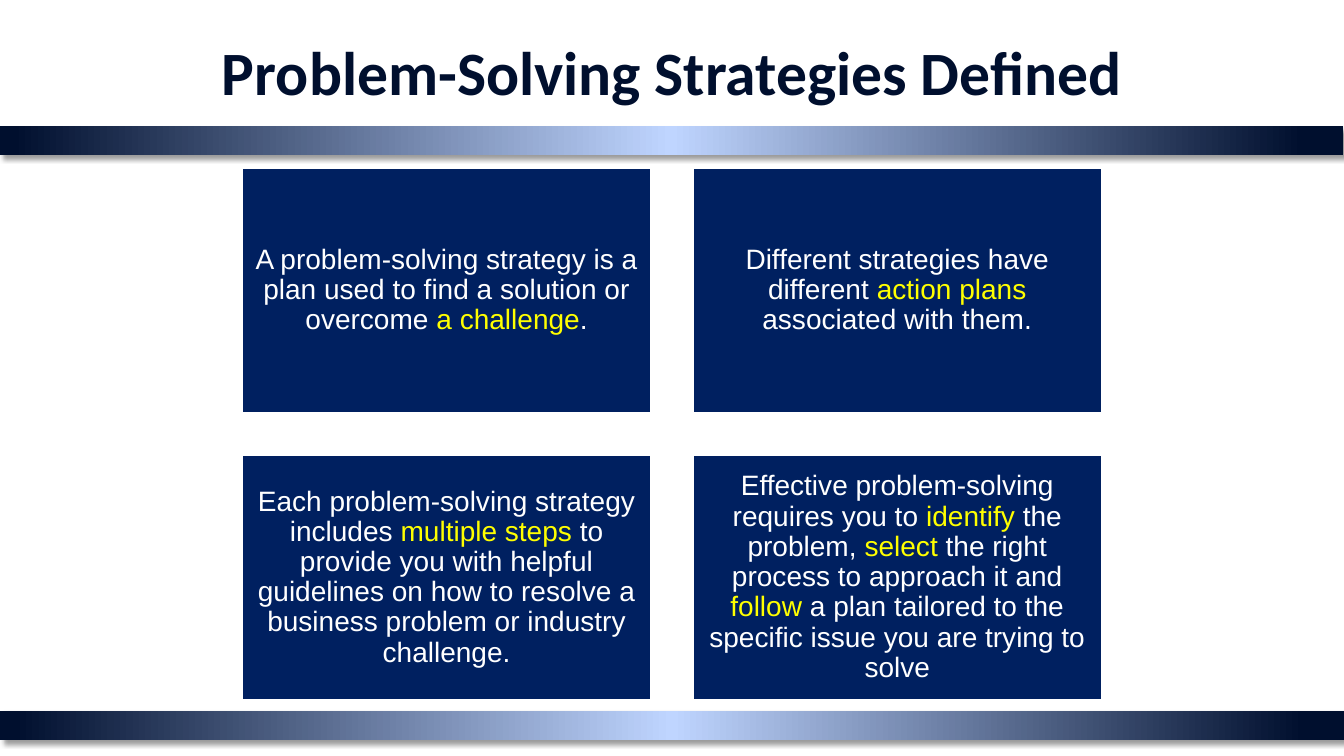
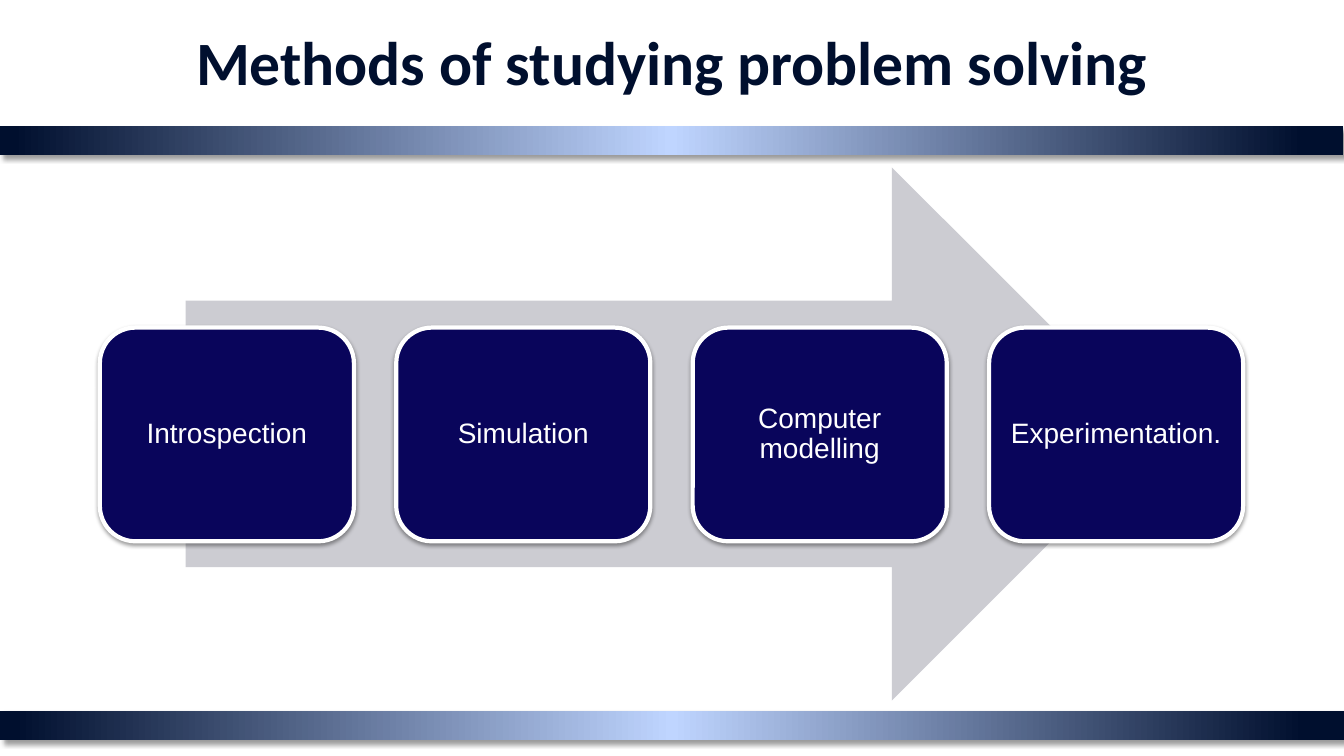
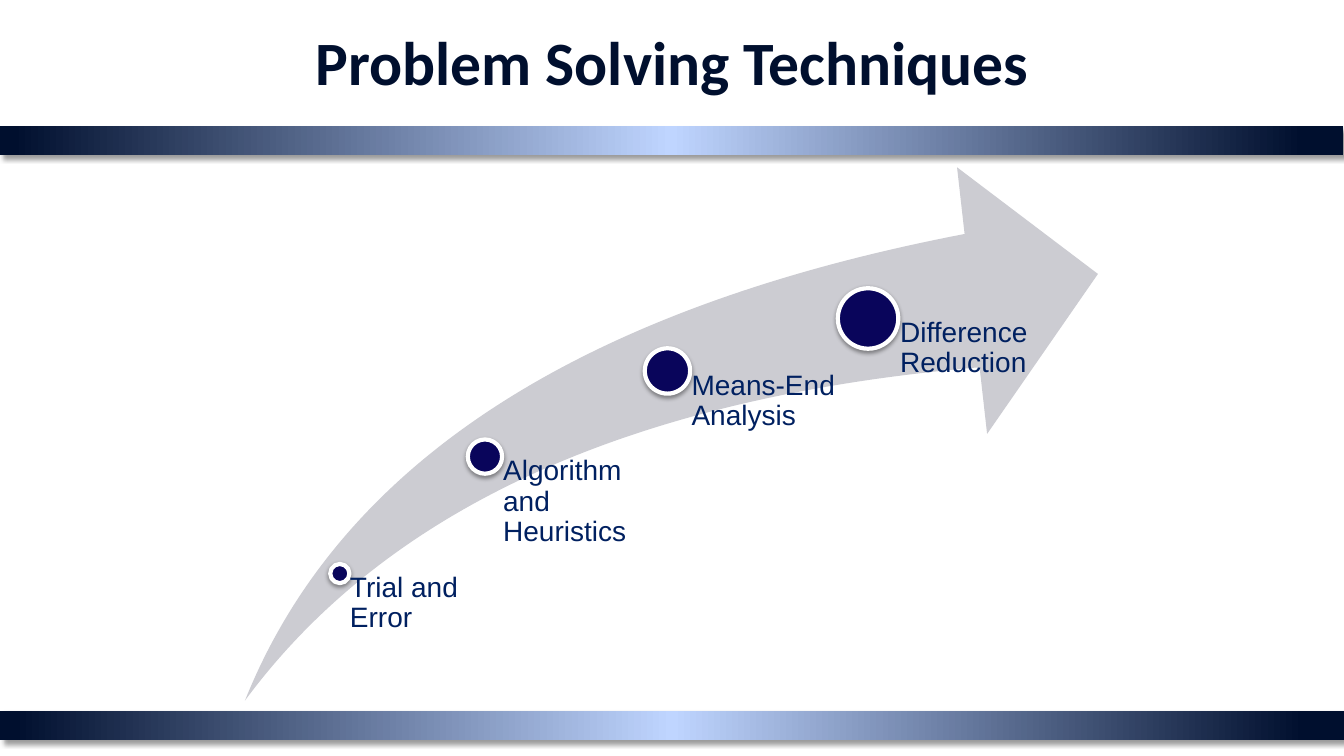
from dataclasses import dataclass
from lxml import etree
from pptx import Presentation
from pptx.dml.color import RGBColor
from pptx.enum.shapes import MSO_SHAPE
from pptx.enum.text import MSO_ANCHOR, PP_ALIGN
from pptx.oxml.ns import qn
from pptx.util import Inches, Pt

RECT, ROUND, OVAL = MSO_SHAPE.RECTANGLE, MSO_SHAPE.ROUNDED_RECTANGLE, MSO_SHAPE.OVAL
ARROW, SWOOSH = MSO_SHAPE.RIGHT_ARROW, MSO_SHAPE.SWOOSH_ARROW
MID, TOP = MSO_ANCHOR.MIDDLE, MSO_ANCHOR.TOP
CENTER, LEFT = PP_ALIGN.CENTER, PP_ALIGN.LEFT


@dataclass(frozen=True)
class Theme:
    ink: str = "000F2E"
    glow: str = "BFD5FF"
    navy: str = "002060"
    deep: str = "09055B"
    pale: str = "CCCCD2"
    white: str = "FFFFFF"
    key: str = "FFFF00"
    head: str = "Calibri"
    body: str = "Arial"
    big: int = 44
    size: int = 20


T = Theme()
WIDE, HIGH = 13.33, 7.5
BASE = 6.95
STOPS = [(0, T.ink), (3, T.ink), (50, T.glow), (99, T.ink), (100, T.ink)]
BANDS = [(0, 7.05), (-0.01, 1.25)]
BAND_SHADE = (40, 4, 3, 45)
NODE_SHADE = (38, 3.1, 1.6, 90)

TITLES = [
    ("Problem-Solving Strategies Defined", 0.08, 1.25),
    ("Methods of studying problem solving", 0.21, 0.79),
    ("Problem Solving Techniques", 0.21, 0.79),
]
CARDS = [
    ("A problem-solving strategy is a plan used to find a solution or overcome ",
     "a challenge", "."),
    ("Different strategies have different ", "action plans ",
     "associated with them."),
    ("Each problem-solving strategy includes ", "multiple steps ",
     "to provide you with helpful guidelines on how to resolve a business "
     "problem or industry challenge."),
    ("Effective problem-solving requires you to ", "identify",
     " the problem, ", "select",
     " the right process to approach it and ", "follow",
     " a plan tailored to the specific issue you are trying to solve"),
]
METHODS = ["Introspection", "Simulation", "Computer modelling", "Experimentation."]
STEPS = [
    ("Trial and Error", 3.37, 5.69, 0.19, 1.45),
    ("Algorithm and Heuristics", 4.81, 4.53, 0.34, 1.78),
    ("Means-End Analysis", 6.62, 3.68, 0.45, 1.78),
    ("Difference Reduction", 8.61, 3.16, 0.6, 1.78),
]


def rgb(tone):
    return RGBColor.from_string(tone)


def put(slide, kind, box, fill=None, edge=0, shade=None):
    shape = slide.shapes.add_shape(kind, *map(Inches, box))
    if fill:
        shape.fill.solid()
        shape.fill.fore_color.rgb = rgb(fill)
    if edge:
        shape.line.color.rgb = rgb(T.white)
        shape.line.width = Pt(edge)
    else:
        shape.line.fill.background()
    shape.shadow.inherit = False
    if shade:
        cast(shape, *shade)
    return shape


def cast(shape, alpha, blur, dist, angle):
    effects = shape.element.spPr.find(qn("a:effectLst"))
    outer = etree.SubElement(
        effects, qn("a:outerShdw"), blurRad=str(int(Pt(blur))),
        dist=str(int(Pt(dist))), dir=str(angle * 60000),
        algn="ctr", rotWithShape="0")
    tone = etree.SubElement(outer, qn("a:srgbClr"), val="000000")
    etree.SubElement(tone, qn("a:alpha"), val=str(alpha * 1000))


def blend(shape):
    shape.fill.gradient()
    shape.fill.gradient_angle = 180
    stops = shape.element.spPr.find(qn("a:gradFill")).find(qn("a:gsLst"))
    for old in list(stops):
        stops.remove(old)
    for place, tone in STOPS:
        stop = etree.SubElement(stops, qn("a:gs"), pos=str(place * 1000))
        etree.SubElement(stop, qn("a:srgbClr"), val=tone)


def write(shape, runs, tones, pads, align=CENTER, anchor=MID,
          font=T.body, size=T.size, bold=False, lead=0.9):
    frame = shape.text_frame
    frame.word_wrap = True
    frame.vertical_anchor = anchor
    (frame.margin_left, frame.margin_top,
     frame.margin_right, frame.margin_bottom) = map(Inches, pads)
    para = frame.paragraphs[0]
    para.alignment = align
    para.line_spacing = lead
    for i, text in enumerate(runs):
        run = para.add_run()
        run.text = text
        run.font.name = font
        run.font.size = Pt(size)
        run.font.bold = bold
        run.font.color.rgb = rgb(tones[i % len(tones)])


def label(slide, box, *args, **style):
    write(slide.shapes.add_textbox(*map(Inches, box)), *args, **style)


def start(deck, title, top, tall):
    slide = deck.slides.add_slide(deck.slide_layouts[6])
    for x, y in BANDS:
        blend(put(slide, RECT, (x, y, WIDE, 0.29), shade=BAND_SHADE))
    label(slide, (0.67, top, 12, tall), [title], [T.ink], (0.1, 0.05, 0.1, 0.05),
          font=T.head, size=T.big, bold=True, lead=1.0)
    return slide


def cards(slide):
    wide, high, gap = 4.06, 2.44, 0.41
    for i, runs in enumerate(CARDS):
        row, col = divmod(i, 2)
        box = (2.4 + col * (wide + gap), 1.66 + row * (high + gap), wide, high)
        card = put(slide, RECT, box, T.navy, 2)
        write(card, runs, [T.white, T.key], [0.08] * 4)


def methods(slide):
    put(slide, ARROW, (1.84, 1.66, 9.65, 5.29), T.pale)
    wide, gap = 2.52, 0.42
    for i, name in enumerate(METHODS):
        box = (0.99 + i * (wide + gap), 3.25, wide, 2.12)
        node = put(slide, ROUND, box, T.deep, 3, NODE_SHADE)
        write(node, [name], [T.white], [0.08] * 4)


def steps(slide):
    swoosh = put(slide, SWOOSH, (2.43, 1.66, 8.46, 5.29), T.pale)
    swoosh.adjustments[0] = swoosh.adjustments[1] = 0.25
    for name, x, y, dot, wide in STEPS:
        put(slide, OVAL, (x - dot / 2, y - dot / 2, dot, dot), T.deep, 3, NODE_SHADE)
        label(slide, (x, y, wide, BASE - y), [name], [T.navy],
              (dot * 0.53, 0, 0, 0), align=LEFT, anchor=TOP)


def main():
    deck = Presentation()
    deck.slide_width, deck.slide_height = Inches(WIDE), Inches(HIGH)
    for title, draw in zip(TITLES, (cards, methods, steps)):
        draw(start(deck, *title))
    deck.save("out.pptx")


if __name__ == "__main__":
    main()
